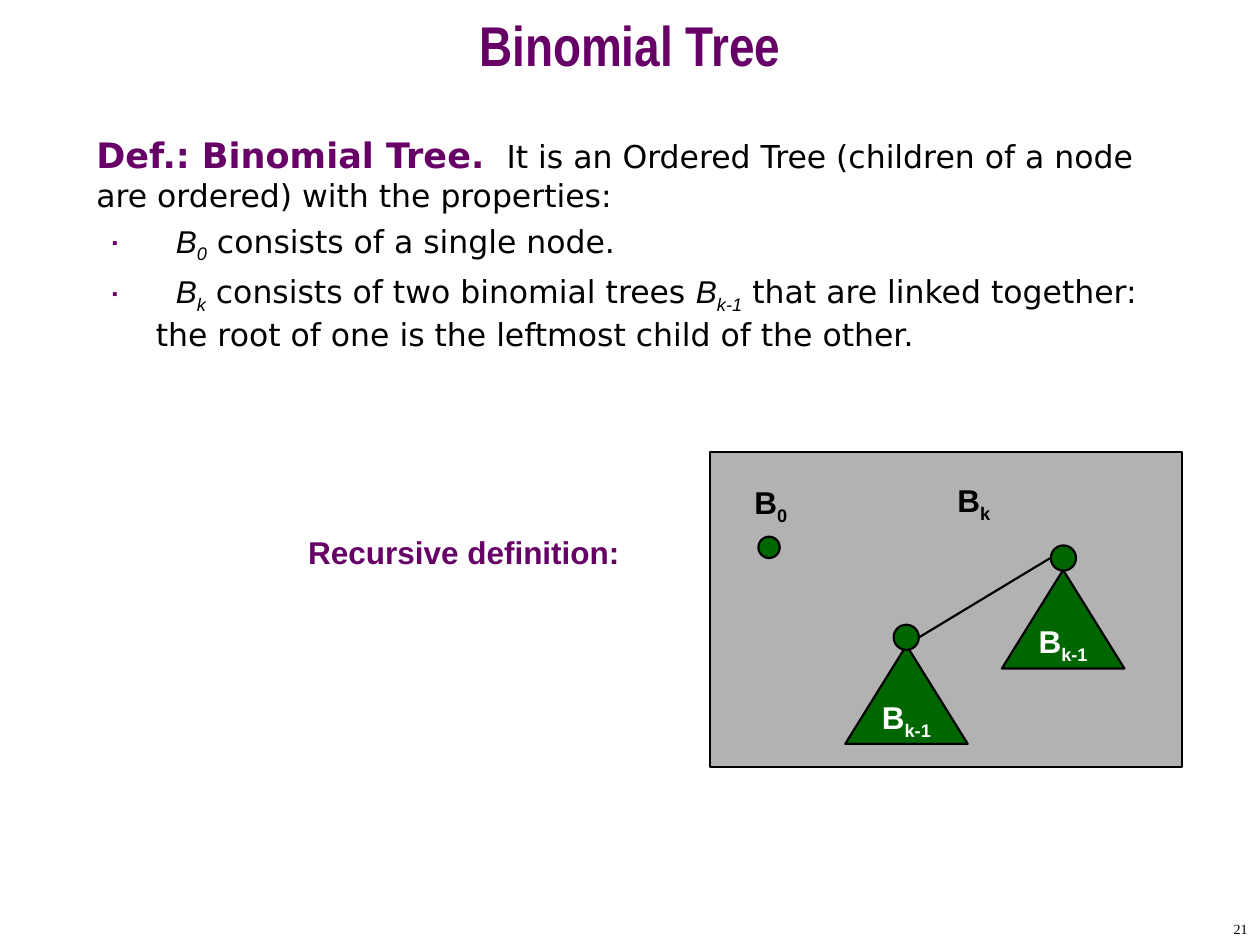
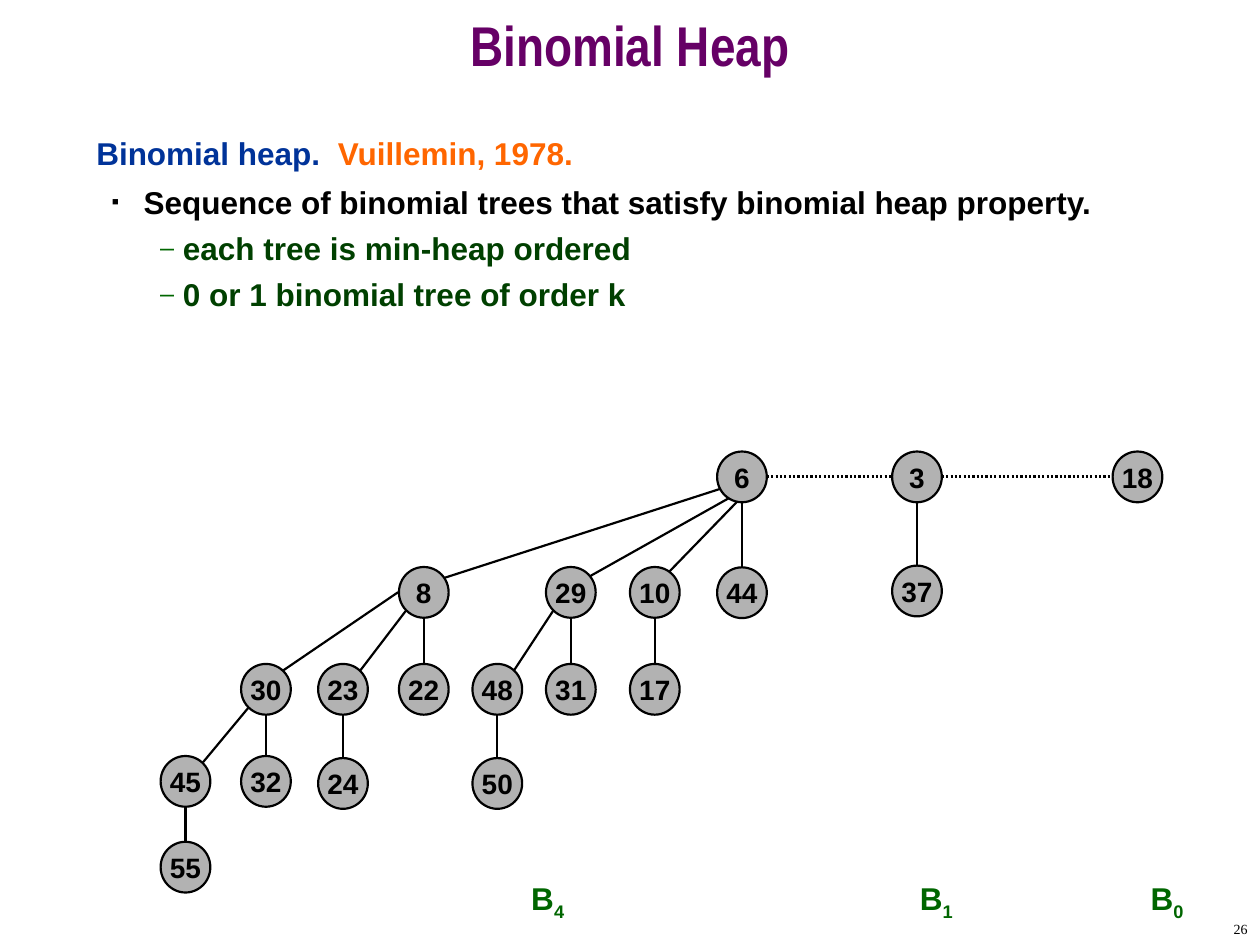
import pptx
import pptx.dml.color
import pptx.enum.dml
import pptx.enum.shapes
import pptx.enum.text
import pptx.oxml.ns
import pptx.util
from lxml import etree

Pt = pptx.util.Pt
Align = pptx.enum.text.PP_ALIGN
Anchor = pptx.enum.text.MSO_ANCHOR
Shape = pptx.enum.shapes.MSO_SHAPE
qn = pptx.oxml.ns.qn

COLORS = {
    "purple": "660066", "blue": "003399", "orange": "FF6600", "green": "006600",
    "dark_green": "004000", "gray": "B2B2B2", "black": "000000", "white": "FFFFFF",
}
SANS, WIDE = "Arial", "DejaVu Sans"
TITLE_ONLY = 5
NODE_W, NODE_H = 28.4, 29


def rgb(name):
    return pptx.dml.color.RGBColor.from_string(COLORS[name])


def piece(text, color="black", size=18, font=SANS, bold=True, italic=False, sub=False, gap=0):
    """One run of text; gap is extra letter spacing in points."""
    return dict(text=text, color=color, size=size, font=font, bold=bold,
                italic=italic, sub=sub, gap=gap)


def order(k, color="black", **style):
    """The symbol B with a subscript."""
    return [piece("B", color, **style), piece(k, color, sub=True, **style)]


class Deck:
    def __init__(self):
        self.prs = pptx.Presentation()
        self.prs.slide_width, self.prs.slide_height = Pt(720), Pt(540)
        self.slide = None

    def new_slide(self, title, number):
        self.slide = self.prs.slides.add_slide(self.prs.slide_layouts[TITLE_ONLY])
        heading = self.slide.shapes.title
        heading.left, heading.top, heading.width, heading.height = Pt(0), Pt(0), Pt(720), Pt(60)
        heading.text_frame.vertical_anchor = Anchor.MIDDLE
        self.fill_paragraph(heading.text_frame.paragraphs[0],
                            [piece(title, "purple", 32, "Arial Narrow")],
                            Align.CENTER, spacing=0.7)
        self.text(570, 522, 150, 18, [piece(number, size=8, font="Times New Roman", bold=False)],
                  Align.RIGHT, Anchor.MIDDLE)

    def fill_paragraph(self, paragraph, pieces, align=Align.LEFT, spacing=None, before=0,
                       bullet=None):
        paragraph.alignment = align
        paragraph.space_before = Pt(before)
        if spacing:
            paragraph.line_spacing = spacing
        if bullet:
            self.bullet(paragraph, *bullet)
        for style in pieces:
            run = paragraph.add_run()
            run.text = style["text"]
            font = run.font
            font.name, font.size = style["font"], Pt(style["size"])
            font.bold, font.italic = style["bold"], style["italic"]
            font.color.rgb = rgb(style["color"])
            if style["sub"]:
                font._element.set("baseline", "-25000")
            if style["gap"]:
                font._element.set("spc", str(round(style["gap"] * 100)))

    def bullet(self, paragraph, char, color, percent, margin, hang):
        props = paragraph._p.get_or_add_pPr()
        props.set("marL", str(Pt(margin)))
        props.set("indent", str(-Pt(hang)))
        tint = etree.SubElement(props, qn("a:buClr"))
        etree.SubElement(tint, qn("a:srgbClr"), val=COLORS[color])
        etree.SubElement(props, qn("a:buSzPct"), val=str(percent * 1000))
        etree.SubElement(props, qn("a:buFont"), typeface=SANS)
        etree.SubElement(props, qn("a:buChar"), char=char)

    def text(self, x, y, w, h, pieces, align=Align.LEFT, anchor=Anchor.TOP, **layout):
        frame = self.slide.shapes.add_textbox(Pt(x), Pt(y), Pt(w), Pt(h)).text_frame
        frame.word_wrap = True
        frame.vertical_anchor = anchor
        self.fill_paragraph(frame.paragraphs[0], pieces, align, **layout)
        return frame

    def body(self, intro, points):
        frame = self.text(48, 73, 618, 426, intro)
        for pieces, bullet, spacing in points:
            self.fill_paragraph(frame.add_paragraph(), pieces, spacing=spacing, before=4.5,
                                bullet=bullet)

    def label(self, x, y, k, color="black"):
        self.text(x, y, 50, 32, order(k, color), Align.CENTER)

    def shape(self, kind, x, y, w, h, fill, pieces=()):
        form = self.slide.shapes.add_shape(kind, Pt(x), Pt(y), Pt(w), Pt(h))
        form.shadow.inherit = False
        form.fill.solid()
        form.fill.fore_color.rgb = rgb(fill)
        form.line.color.rgb = rgb("black")
        form.line.width = Pt(1.25)
        if pieces:
            form.text_frame.word_wrap = False
            form.text_frame.vertical_anchor = Anchor.MIDDLE
            self.fill_paragraph(form.text_frame.paragraphs[0], pieces, Align.CENTER)

    def line(self, x1, y1, x2, y2, dotted=False):
        edge = self.slide.shapes.add_connector(
            pptx.enum.shapes.MSO_CONNECTOR.STRAIGHT, Pt(x1), Pt(y1), Pt(x2), Pt(y2))
        edge.line.color.rgb = rgb("black")
        edge.line.width = Pt(1.25)
        if dotted:
            edge.line.dash_style = pptx.enum.dml.MSO_LINE.ROUND_DOT
        etree.SubElement(edge._element.spPr, qn("a:effectLst"))


def binomial_tree(deck):
    deck.new_slide("Binomial Tree", "21")

    # Definition
    plain = dict(font=WIDE, bold=False)
    symbol = dict(bold=False, italic=True)
    indent = piece(" ", gap=5.7, **plain)
    square = ("▪", "purple", 50, 34, 25)
    deck.body(
        [piece("Def.: Binomial Tree.", "purple", 20, WIDE),
         piece(" ", "blue", font=WIDE, gap=6.3),
         piece("It is an Ordered Tree (children of a node are ordered) with the properties:", **plain)],
        [([indent, *order("0", **symbol), piece(" consists of a single node.", **plain)],
          square, None),
         ([indent, *order("k", **symbol), piece(" consists of two binomial trees ", **plain),
           *order("k-1", **symbol),
           piece(" that are linked together: the root of one is the leftmost child of the other.",
                 **plain)],
          square, None)])
    deck.text(169, 299, 200, 31, [piece("Recursive definition:", "purple")], spacing=1.1)

    # Recursive construction
    deck.shape(Shape.RECTANGLE, 405.5, 258.5, 270, 180, "gray")
    for x, y in ((483, 368.8), (572.5, 325.7)):
        deck.shape(Shape.ISOSCELES_TRIANGLE, x, y, 70, 56.3, "green", order("k-1", "white"))
    deck.line(525.5, 364, 600, 319)
    for x, y, size in ((510.7, 357, 14.4), (600.5, 311.7, 14.4), (433.4, 306.7, 12.2)):
        deck.shape(Shape.OVAL, x, y, size, size, "green")
    deck.label(415.5, 272.4, "0")
    deck.label(531.5, 271.4, "k")


def binomial_heap(deck):
    deck.new_slide("Binomial Heap", "26")

    # Properties
    square = ("■", "black", 35, 27, 18)
    dash = ("–", "green", 80, 49.5, 13)
    deck.body(
        [piece("Binomial heap.", "blue"), piece(" ", "blue", gap=5),
         piece("Vuillemin, 1978.", "orange")],
        [([piece("Sequence of binomial trees that satisfy binomial heap property.")], square, 1.1),
         ([piece("each tree is min-heap ordered", "dark_green")], dash, None),
         ([piece("0 or 1 binomial tree of order k", "dark_green")], dash, None)])

    # Columns of the heap: centre, then key and top of each node
    columns = [
        (106, [("45", 432), ("55", 481)]),
        (152, [("30", 379.4), ("32", 432)]),
        (196, [("23", 379.4), ("24", 433.2)]),
        (242.2, [("8", 324), ("22", 379.4)]),
        (284.2, [("48", 379.4), ("50", 433.2)]),
        (326.2, [("29", 324), ("31", 379.4)]),
        (374.2, [("10", 324), ("17", 379.4)]),
        (424, [("6", 258), ("44", 324.2)]),
        (524, [("3", 258), ("37", 323.2)]),
        (650, [("18", 258)]),
    ]

    # Edges: slanted to the left children, dotted between roots, upright in a column
    slanted = [
        (116, 435.6, 141.8, 404.6), (162, 383, 227.5, 338.4), (206, 383, 231.8, 349.2),
        (293.8, 383, 316, 349.2), (248.4, 332, 422.6, 275.8), (336.2, 329.8, 423.4, 280.8),
        (380.2, 329, 424.8, 283),
    ]
    for ends in slanted:
        deck.line(*ends)
    roots = [center for center, _ in columns[-3:]]
    for left, right in zip(roots, roots[1:]):
        deck.line(left + NODE_W / 2, 272.3, right - NODE_W / 2, 272.3, dotted=True)
    for center, nodes in columns:
        for (_, upper), (_, lower) in zip(nodes, nodes[1:]):
            deck.line(center, upper + NODE_H, center, lower)

    # Nodes and tree orders
    for center, nodes in columns:
        for key, top in nodes:
            deck.shape(Shape.OVAL, center - NODE_W / 2, top, NODE_W, NODE_H, "gray",
                       [piece(key, size=16)])
    for x, k in ((288, "4"), (510, "1"), (642, "0")):
        deck.label(x, 499, k, "green")


def main():
    deck = Deck()
    binomial_tree(deck)
    binomial_heap(deck)
    deck.prs.save("out.pptx")


if __name__ == "__main__":
    main()
